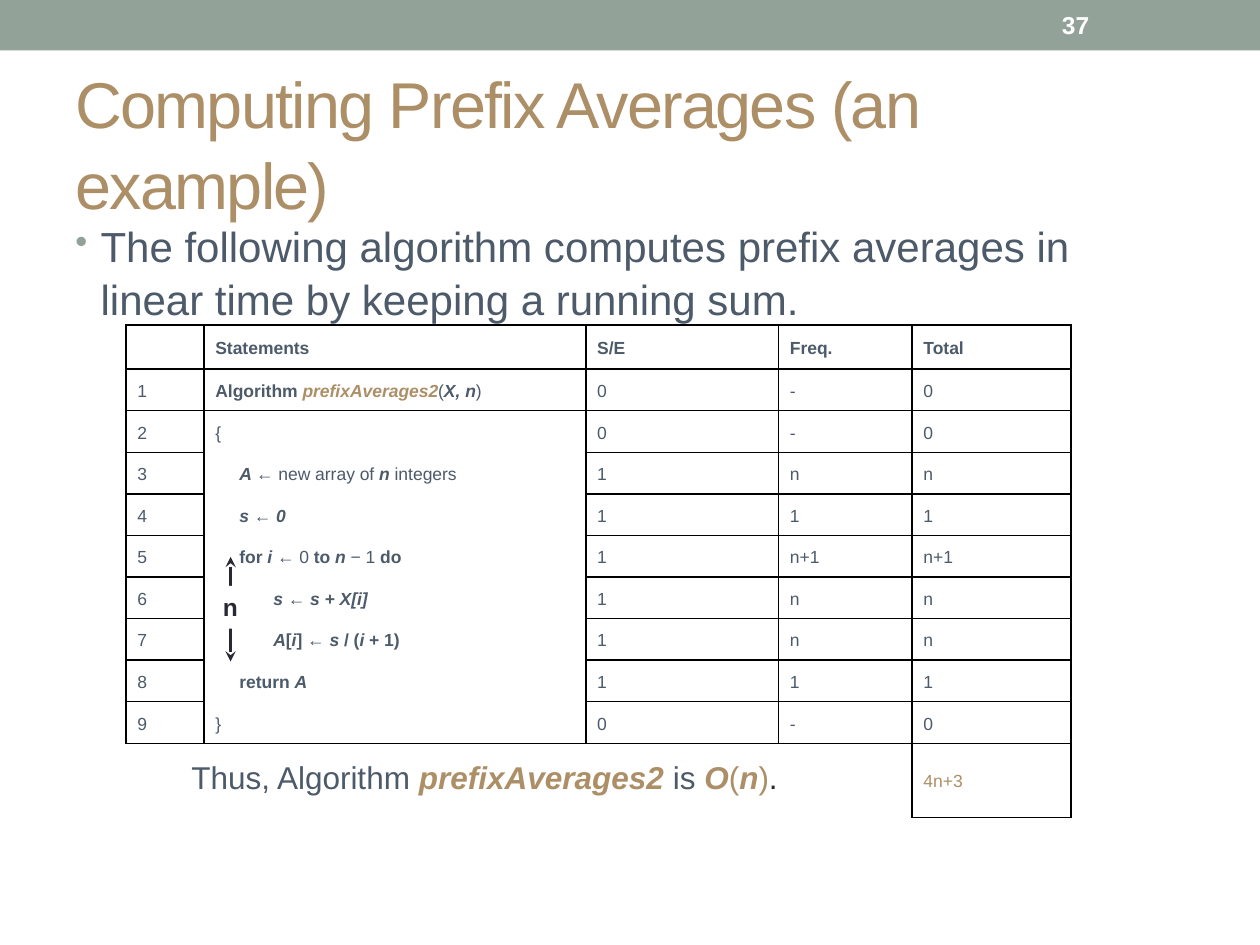
from lxml.etree import SubElement
from pptx import Presentation
from pptx.dml.color import RGBColor
from pptx.enum.shapes import MSO_CONNECTOR, MSO_SHAPE
from pptx.enum.text import MSO_ANCHOR
from pptx.oxml.ns import qn
from pptx.util import Inches, Pt

COLORS = {"sage": "93A299", "gold": "AD8F67", "slate": "4C5A6A",
          "ink": "292934", "white": "FFFFFF", "black": "000000"}


def write(frame, text, size=10, color="slate", bold=False, anchor=MSO_ANCHOR.TOP,
          left=0, hang=0, line=1.0, before=0, after=0, bullet=None, track=0):
    frame.word_wrap = True
    frame.vertical_anchor = anchor
    para = frame.paragraphs[0]
    para.line_spacing = line
    para.space_before, para.space_after = Pt(before), Pt(after)
    props = para._p.get_or_add_pPr()
    props.set("marL", str(Inches(left)))
    props.set("indent", str(-Inches(hang)))
    if bullet:
        tint = SubElement(props, qn("a:buClr"))
        SubElement(tint, qn("a:srgbClr"), val=COLORS["sage"])
        SubElement(props, qn("a:buSzPct"), val="85000")
        SubElement(props, qn("a:buChar"), char=bullet)
    runs = [(text, "")] if isinstance(text, str) else text
    for words, style in runs:
        run = para.add_run()
        run.text = words
        font = run.font
        font.name, font.size = "Arial", Pt(size)
        font.bold = bold or "b" in style
        font.italic = "i" in style
        hue = "gold" if "g" in style else "ink" if "k" in style else color
        font.color.rgb = RGBColor.from_string(COLORS[hue])
        if track:
            run._r.get_or_add_rPr().set("spc", str(track))
    if not runs:
        SubElement(para._p, qn("a:endParaRPr"), sz=str(size * 100))


def edge(cell, sides):
    props = cell._tc.get_or_add_tcPr()
    for side in sides:
        line = SubElement(props, qn("a:ln" + side), w=str(Pt(1)))
        fill = SubElement(line, qn("a:solidFill"))
        SubElement(fill, qn("a:srgbClr"), val=COLORS["black"])
    cell.fill.background()


deck = Presentation()
deck.slide_width, deck.slide_height = Inches(10), Inches(7.5)
slide = deck.slides.add_slide(deck.slide_layouts[5])
shapes = slide.shapes

band = shapes.add_shape(MSO_SHAPE.RECTANGLE, 0, 0, Inches(10), Inches(0.4))
band.shadow.inherit = False
band.fill.solid()
band.fill.fore_color.rgb = RGBColor.from_string(COLORS["sage"])
band.line.fill.background()

title = shapes.title
title.left, title.top = Inches(0.5), Inches(0.58)
title.width, title.height = Inches(9), Inches(1.08)
write(title.text_frame, "Computing Prefix Averages (an example)", size=37,
      color="gold", anchor=MSO_ANCHOR.MIDDLE, line=1.05, track=-100)
title.text_frame.paragraphs[0].alignment = 1

body = shapes.add_textbox(Inches(0.5), Inches(1.68), Inches(8.92), Inches(0.9))
write(body.text_frame, "The following algorithm computes prefix averages in "
      "linear time by keeping a running sum.", size=24, left=0.2, hang=0.2,
      line=1.05, before=2, bullet="•")

page = shapes.add_textbox(Inches(8.33), Inches(0.02), Inches(1.17), Inches(0.36))
write(page.text_frame, "37", size=14, color="white", bold=True,
      anchor=MSO_ANCHOR.MIDDLE)

steps = [
    (0, [("Algorithm ", "b"), ("prefixAverages2", "big"), ("(", ""),
         ("X, n", "bi"), (")", "")], "0", "-", "0"),
    (0, "{", "0", "-", "0"),
    (0.19, [("A ", "bi"), ("← new array of ", ""), ("n", "bi"),
            (" integers", "")], "1", "n", "n"),
    (0.19, [("s ← 0", "bi")], "1", "1", "1"),
    (0.19, [("for ", "b"), ("i ", "bi"), ("← 0 ", ""), ("to ", "b"),
            ("n ", "bi"), ("− 1 ", ""), ("do", "b")], "1", "n+1", "n+1"),
    (0.46, [("s ← s + X[i]", "bi")], "1", "n", "n"),
    (0.46, [("A", "bi"), ("[", "b"), ("i", "bi"), ("] ← ", "b"), ("s", "bi"),
            (" / (", "b"), ("i", "bi"), (" + 1)", "b")], "1", "n", "n"),
    (0.19, [("return ", "b"), ("A", "bi")], "1", "1", "1"),
    (0, "}", "0", "-", "0"),
]
rows = [(0, [[], "Statements", "S/E", "Freq.", "Total"])]
rows += [(step[0], [str(num), *step[1:]]) for num, step in enumerate(steps, 1)]
rows.append((0, [[], [], [], [], [("4n+3", "g")]]))
last = len(rows) - 1

frame = shapes.add_table(len(rows), 5, Inches(1), Inches(2.58), Inches(7.5), Inches(3.92))
table = frame.table
table.first_row = table.horz_banding = False
frame._element.find(".//" + qn("a:tableStyleId")).text = (
    "{2D5ABB26-0587-4C30-8999-92F81FD0307C}")
for col, width in zip(table.columns, [0.62, 3.03, 1.53, 1.06, 1.26]):
    col.width = Inches(width)
for r, (indent, texts) in enumerate(rows):
    table.rows[r].height = Inches({0: 0.35, last: 0.59}.get(r, 0.33))
    for c, text in enumerate(texts):
        cell = table.cell(r, c)
        cell.margin_left = cell.margin_right = Inches(0.09)
        cell.margin_top = cell.margin_bottom = Inches(0.05)
        write(cell.text_frame, text, bold=r == 0, line=1.15, after=10,
              left=indent if c == 1 else 0)
        cell.vertical_anchor = MSO_ANCHOR.MIDDLE
        sides = "LRTB"
        if r == last and c < 4:
            sides = "RT" if c == 3 else "T"
        elif c == 1 and 0 < r < last:
            sides = "LR" + {1: "T", last - 1: "B"}.get(r, "")
        edge(cell, sides)

close = shapes.add_textbox(Inches(1.42), Inches(6), Inches(5.25), Inches(0.58))
write(close.text_frame, [("Thus, Algorithm ", ""), ("prefixAverages2 ", "big"),
      ("is ", ""), ("O", "big"), ("(", "g"), ("n", "big"), (")", "g"),
      (".", "k")], size=18, left=0.38, hang=0.38, line=0.9, before=3.6)

arrow = shapes.add_connector(MSO_CONNECTOR.STRAIGHT, Inches(1.83), Inches(4.42),
                             Inches(1.83), Inches(5.25))
arrow.line.width = Pt(1.75)
arrow.line.color.rgb = RGBColor.from_string(COLORS["ink"])
for end in ("headEnd", "tailEnd"):
    SubElement(arrow.line._get_or_add_ln(), qn("a:" + end), type="stealth")
SubElement(arrow._element.spPr, qn("a:effectLst"))

label = shapes.add_textbox(Inches(1.67), Inches(4.65), Inches(0.36), Inches(0.34))
label.fill.solid()
label.fill.fore_color.rgb = RGBColor.from_string(COLORS["white"])
write(label.text_frame, "n", size=14, color="ink", bold=True)

deck.save("out.pptx")
